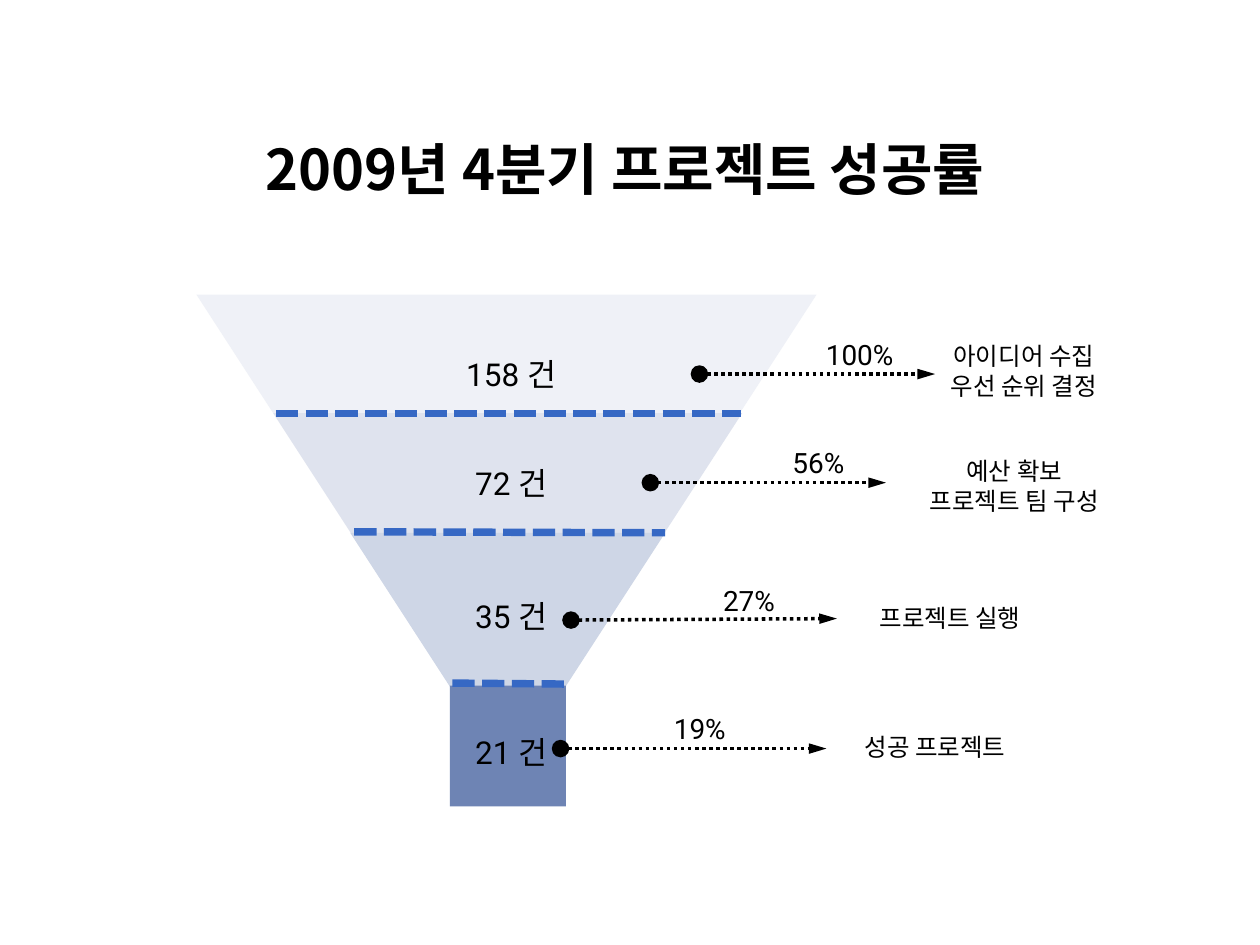
from lxml import etree
from pptx import Presentation
from pptx.dml.color import RGBColor
from pptx.enum.dml import MSO_LINE
from pptx.enum.shapes import MSO_CONNECTOR as Connector, MSO_SHAPE as Shape
from pptx.enum.text import MSO_AUTO_SIZE as AutoSize, PP_ALIGN as Align
from pptx.oxml.ns import qn
from pptx.util import Cm, Pt

BLACK, BLUE = "000000", "3668C4"
TITLE = dict(name="Noto Sans CJK KR", size=Pt(32), bold=True)
COUNT = dict(name="Roboto", size=Pt(18))
PERCENT = dict(name="Roboto", size=Pt(16))
LABEL = dict(name="Open Sans", size=Pt(14))

# Funnel bands: preset, left, top, width, height, fill
BANDS = [
    (Shape.ISOSCELES_TRIANGLE, 3.96, 5.94, 12.5, 9.65, "EFF1F7"),
    (Shape.ISOSCELES_TRIANGLE, 5.51, 8.33, 9.45, 7.29, "DFE3EE"),
    (Shape.ISOSCELES_TRIANGLE, 7.06, 10.74, 6.35, 4.9, "CED6E6"),
    (Shape.RECTANGLE, 9.07, 13.82, 2.34, 2.44, "6E84B4"),
]

# Dividers: start x, start y, end x, end y
DIVIDERS = [
    (5.56, 8.33, 14.94, 8.33),
    (7.14, 10.72, 13.41, 10.74),
    (9.12, 13.77, 11.43, 13.79),
]

# Stages: count and its top, percent and its place, arrow, label and its frame
STAGES = [
    ("158 건", 7.04, "100%", (16.08, 6.68), (14.1, 7.54, 18.85, 7.54),
     ["아이디어 수집", "우선 순위 결정"], (17.86, 6.76, 5.56, 1.45)),
    ("72 건", 9.22, "56%", (15.09, 8.86), (13.11, 9.73, 17.86, 9.73),
     ["예산 확보", "프로젝트 팀 구성"], (17.48, 9.07, 5.94, 1.45)),
    ("35 건", 11.91, "27%", (13.69, 11.63), (11.51, 12.5, 16.87, 12.47),
     ["프로젝트 실행"], (16.87, 12.04, 4.57, 0.86)),
    ("21 건", 14.66, "19%", (12.7, 14.22), (11.3, 15.09, 16.66, 15.09),
     ["성공 프로젝트"], (16.46, 14.63, 4.78, 0.86)),
]


def color(value):
    return RGBColor.from_string(value)


def add_text(page, frame, lines, style, align=Align.CENTER):
    box = page.shapes.add_textbox(*map(Cm, frame))
    text = box.text_frame
    text.word_wrap = True
    text.auto_size = AutoSize.SHAPE_TO_FIT_TEXT
    for index, line in enumerate(lines):
        para = text.add_paragraph() if index else text.paragraphs[0]
        para.alignment = align
        span = para.add_run()
        span.text = line
        for key, value in style.items():
            setattr(span.font, key, value)
        span.font.color.rgb = color(BLACK)


def add_band(page, preset, left, top, width, height, fill):
    band = page.shapes.add_shape(preset, Cm(left), Cm(top), Cm(width), Cm(height))
    band.shadow.inherit = False
    band.fill.solid()
    band.fill.fore_color.rgb = color(fill)
    band.line.fill.background()
    if preset == Shape.ISOSCELES_TRIANGLE:
        band.rotation = 180


def add_line(page, ends, line_color, width, dash):
    line = page.shapes.add_connector(Connector.STRAIGHT, *map(Cm, ends))
    line.line.color.rgb = color(line_color)
    line.line.width = Pt(width)
    line.line.dash_style = dash
    etree.SubElement(line._element.spPr, qn("a:effectLst"))
    return line


def add_arrow(page, ends):
    arrow = add_line(page, ends, BLACK, 2, MSO_LINE.ROUND_DOT)
    outline = arrow.line._get_or_add_ln()
    for tag, kind, width in (("a:headEnd", "oval", "lg"), ("a:tailEnd", "triangle", "med")):
        etree.SubElement(outline, qn(tag), type=kind, w=width, len="lg")


def main():
    deck = Presentation()
    deck.slide_width, deck.slide_height = Cm(25.4), Cm(19.05)
    page = deck.slides.add_slide(deck.slide_layouts[6])

    # Title
    add_text(page, (4.17, 2.59, 16.87, 1.63), ["2009년 4분기 프로젝트 성공률"], TITLE)

    # Funnel
    for band in BANDS:
        add_band(page, *band)
    for ends in DIVIDERS:
        add_line(page, ends, BLUE, 4.25, MSO_LINE.SQUARE_DOT)

    # Stages
    for count, top, percent, place, arrow, label, frame in STAGES:
        add_arrow(page, arrow)
        add_text(page, (7.93, top, 4.75, 1.02), [count], COUNT)
        add_text(page, (*place, 2.18, 0.94), [percent], PERCENT, Align.RIGHT)
        add_text(page, frame, label, LABEL)

    deck.save("out.pptx")


if __name__ == "__main__":
    main()
